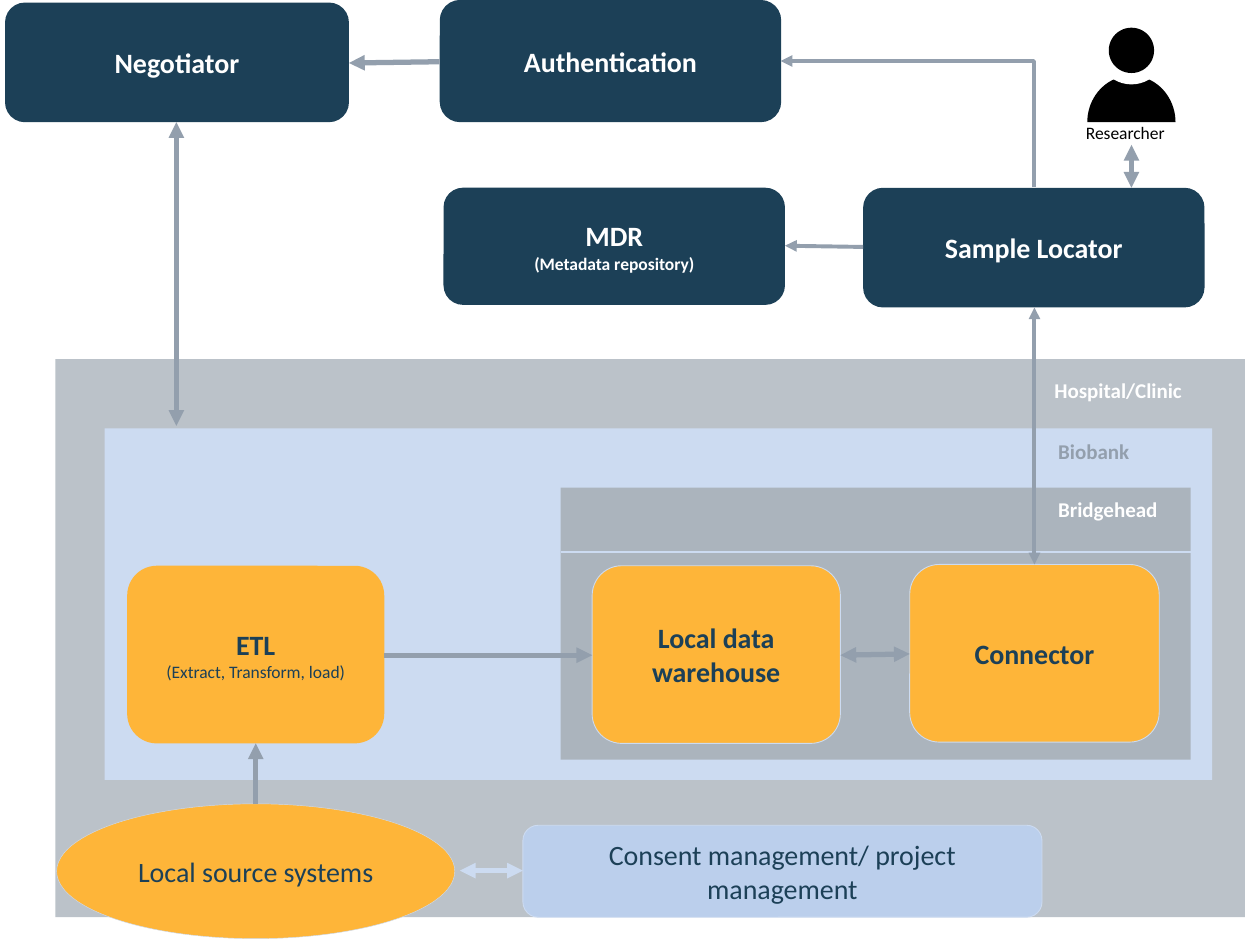
from math import cos, pi, sin

from lxml import etree
from pptx import Presentation
from pptx.dml.color import RGBColor
from pptx.enum.shapes import MSO_CONNECTOR as Link, MSO_SHAPE as Shape
from pptx.enum.text import MSO_ANCHOR, MSO_AUTO_SIZE, PP_ALIGN
from pptx.oxml.ns import qn
from pptx.util import Inches, Pt

COLORS = {
    "navy": "1C4057", "amber": "FEB539", "hospital": "BBC2C9",
    "biobank": "CCDBF1", "bridgehead": "ABB4BD", "consent": "BBCFEC",
    "arrow": "939FAD", "white": "FFFFFF", "black": "000000",
}
RGB = {name: RGBColor.from_string(value) for name, value in COLORS.items()}

prs = Presentation()
prs.slide_width, prs.slide_height = Inches(10), Inches(7.5)
slide = prs.slides.add_slide(prs.slide_layouts[6])


def add_box(parent, kind, at, fill, outline=0, lines=(), color="navy"):
    """Add a filled shape with centred lines of (text, size, bold)."""
    box = parent.add_shape(kind, *map(Inches, at))
    box.shadow.inherit = False
    box.fill.solid()
    box.fill.fore_color.rgb = RGB[fill]
    if outline:
        box.line.color.rgb = RGB["biobank"]
        box.line.width = Pt(outline)
    else:
        box.line.fill.background()
    frame = box.text_frame
    frame.word_wrap = True
    frame.vertical_anchor = MSO_ANCHOR.MIDDLE
    for i, (text, size, bold) in enumerate(lines):
        paragraph = frame.add_paragraph() if i else frame.paragraphs[0]
        paragraph.alignment = PP_ALIGN.CENTER
        run = paragraph.add_run()
        run.text = text
        run.font.name, run.font.size, run.font.bold = "Calibri", Pt(size), bold
        run.font.color.rgb = RGB[color]


def add_label(parent, at, text, size, bold, color):
    """Add a one-line label that does not wrap."""
    frame = parent.add_textbox(*map(Inches, at)).text_frame
    frame.word_wrap = False
    frame.auto_size = MSO_AUTO_SIZE.SHAPE_TO_FIT_TEXT
    run = frame.paragraphs[0].add_run()
    run.text = text
    run.font.name, run.font.size, run.font.bold = "Calibri", Pt(size), bold
    run.font.color.rgb = RGB[color]


# Nested zones with their labels
zones = [
    ("Hospital/Clinic", (0.44, 2.85, 9.44, 4.43), "hospital", (8.27, 2.95, 1.77, 0.42), "white"),
    ("Biobank", (0.83, 3.4, 8.79, 2.79), "biobank", (8.3, 3.43, 1.11, 0.42), "arrow"),
    ("Bridgehead", (4.45, 3.87, 5, 2.16), "bridgehead", (8.3, 3.89, 1.44, 0.42), "white"),
]
for name, zone_at, fill, label_at, color in zones:
    add_box(slide.shapes, Shape.RECTANGLE, zone_at, fill)
    add_label(slide.shapes, label_at, name, 12, True, color)

# Central services
services = [
    ((0.04, 0.02, 2.73, 0.95), [("Negotiator", 16, True)]),
    ((3.49, 0, 2.71, 0.97), [("Authentication", 16, True)]),
    ((3.52, 1.49, 2.71, 0.93), [("MDR", 16, True), ("(Metadata repository)", 10, True)]),
    ((6.85, 1.49, 2.71, 0.95), [("Sample Locator", 16, True)]),
]
for at, lines in services:
    add_box(slide.shapes, Shape.ROUNDED_RECTANGLE, at, "navy", 0, lines, "white")

# Local components
components = [
    (Shape.ROUNDED_RECTANGLE, (1.01, 4.49, 2.04, 1.41), "amber", 0,
     [("ETL", 16, True), ("(Extract, Transform, load)", 10, False)]),
    (Shape.ROUNDED_RECTANGLE, (4.7, 4.49, 1.97, 1.41), "amber", 0.5,
     [("Local data warehouse", 16, True)]),
    (Shape.ROUNDED_RECTANGLE, (7.22, 4.48, 1.98, 1.41), "amber", 0.5,
     [("Connector", 16, True)]),
    (Shape.OVAL, (0.45, 6.38, 3.16, 1.07), "amber", 0.25,
     [("Local source systems", 16, False)]),
    (Shape.ROUNDED_RECTANGLE, (4.15, 6.55, 4.12, 0.73), "consent", 0.5,
     [("Consent management/ project management", 16, False)]),
]
for kind, at, fill, outline, lines in components:
    add_box(slide.shapes, kind, at, fill, outline, lines)

# Researcher: half-ellipse shoulders, then a head with a white rim
researcher = slide.shapes.add_group_shape().shapes
arc = [(8.98 + 0.35 * cos(pi * i / 40), 0.97 - 0.37 * sin(pi * i / 40)) for i in range(41)]
outline_points = [(Inches(x), Inches(y)) for x, y in arc]
builder = researcher.build_freeform(*outline_points[0])
builder.add_line_segments(outline_points[1:], close=True)
shoulders = builder.convert_to_shape()
shoulders.shadow.inherit = False
shoulders.fill.solid()
shoulders.fill.fore_color.rgb = RGB["black"]
shoulders.line.fill.background()
add_box(researcher, Shape.OVAL, (8.71, 0.13, 0.54, 0.54), "white")
add_box(researcher, Shape.OVAL, (8.8, 0.22, 0.36, 0.36), "black")
add_label(researcher, (8.52, 0.92, 0.84, 0.27), "Researcher", 10, False, "black")

# Divider and arrows: start, end, colour, width, arrowheads
END, BOTH = ("tailEnd",), ("headEnd", "tailEnd")
links = [
    ((4.45, 4.38), (9.45, 4.38), "biobank", 0.75, ()),    # Bridgehead divider
    ((2.03, 6.38), (2.03, 5.9), "arrow", 3, END),         # sources to ETL
    ((3.05, 5.2), (4.7, 5.2), "arrow", 3, END),           # ETL to warehouse
    ((7.22, 5.19), (6.67, 5.2), "arrow", 3, BOTH),        # Connector and warehouse
    ((8.21, 4.48), (8.21, 2.44), "arrow", 2.25, BOTH),    # Connector and Sample Locator
    ((6.7, 1.99), (7.7, -0.02), "arrow", 2.25, END),      # Sample Locator to Authentication
    ((6.85, 1.96), (6.23, 1.95), "arrow", 2.25, END),     # Sample Locator to MDR
    ((3.49, 0.49), (2.77, 0.5), "arrow", 3, END),         # Authentication to Negotiator
    ((1.4, 3.38), (1.4, 0.97), "arrow", 3, BOTH),         # Biobank and Negotiator
    ((3.65, 6.91), (4.15, 6.91), "biobank", 3, BOTH),     # sources and consent
    ((8.98, 1.49), (8.98, 1.15), "arrow", 3, BOTH),       # Researcher and Sample Locator
]
for start, end, color, width, heads in links:
    link = slide.shapes.add_connector(Link.STRAIGHT, *map(Inches, start + end))
    link.line.color.rgb = RGB[color]
    link.line.width = Pt(width)
    properties = link._element.spPr
    for head in heads:
        etree.SubElement(properties.find(qn("a:ln")), qn(f"a:{head}"), type="triangle")
    etree.SubElement(properties, qn("a:effectLst"))
    if start == (6.7, 1.99):  # single bend, turned a quarter to the left
        properties.find(qn("a:prstGeom")).set("prst", "bentConnector2")
        properties.find(qn("a:xfrm")).set("rot", "16200000")

prs.save("out.pptx")
